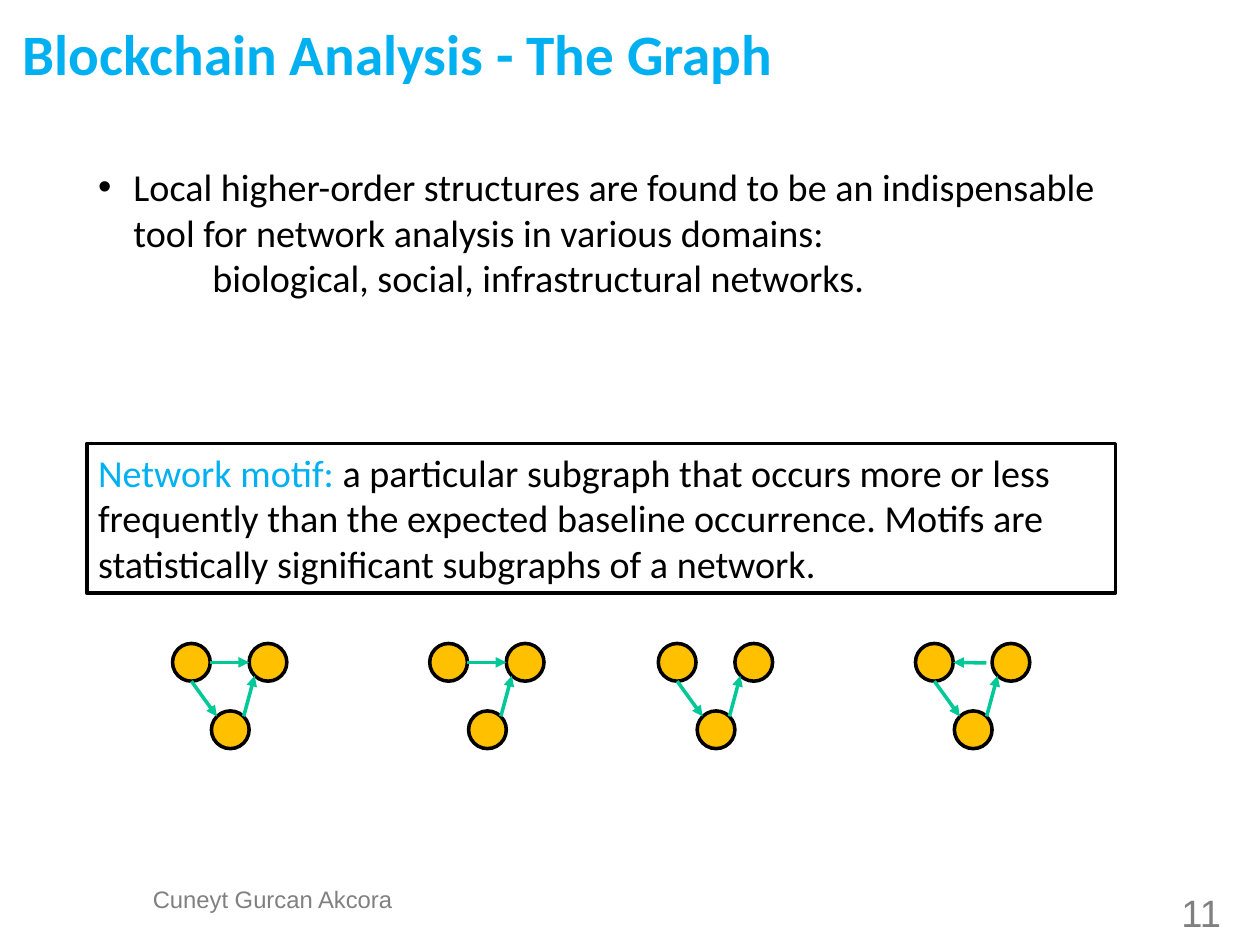
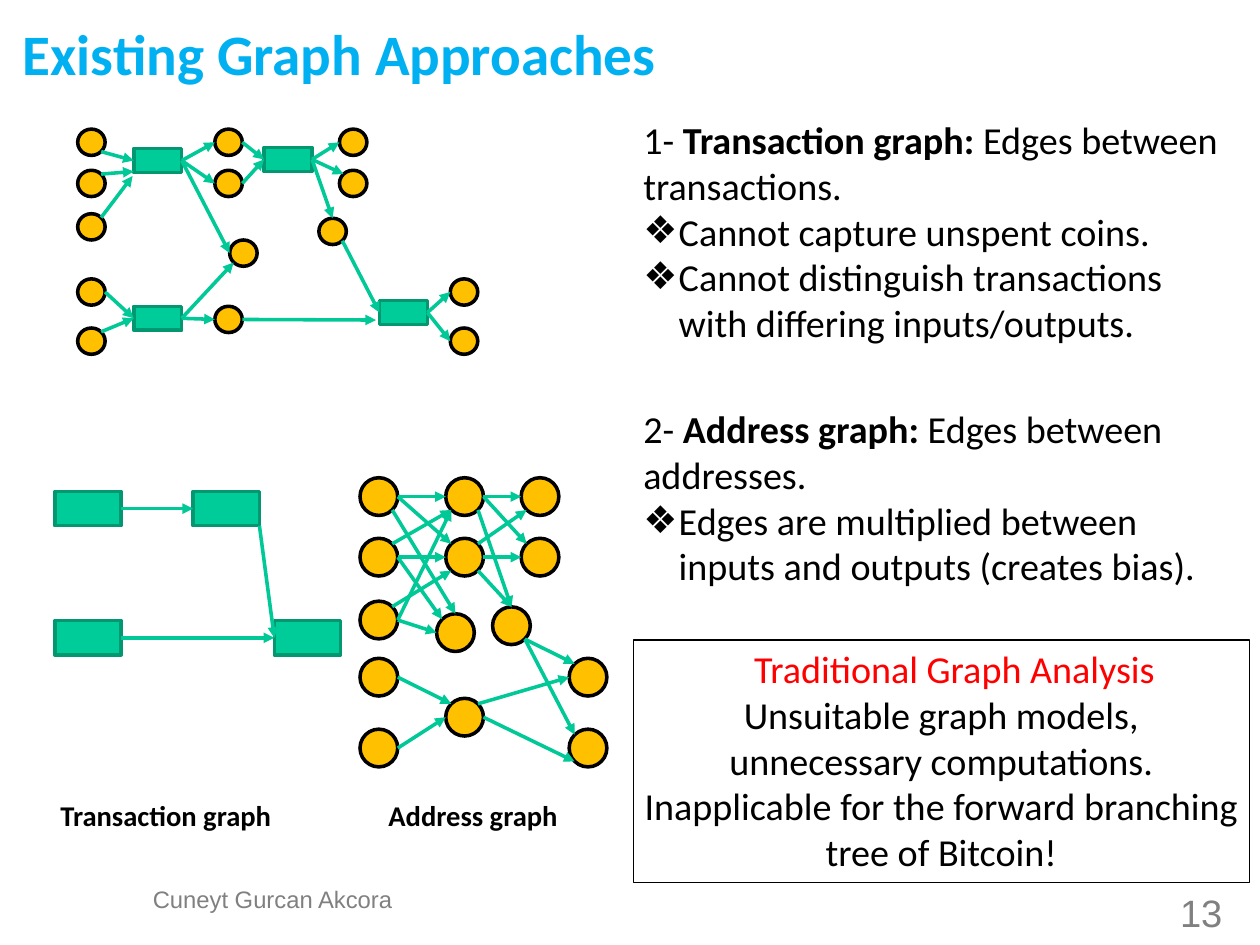
import dataclasses

import pptx
import pptx.dml.color
import pptx.enum.shapes
import pptx.enum.text
import pptx.oxml.ns
import pptx.util
from lxml import etree

Inches = pptx.util.Inches
Pt = pptx.util.Pt
SHAPE = pptx.enum.shapes.MSO_SHAPE
CENTER = pptx.enum.text.PP_ALIGN.CENTER
qn = pptx.oxml.ns.qn


@dataclasses.dataclass(frozen=True)
class Theme:
    accent: str = "00B0F0"
    ink: str = "000000"
    paper: str = "FFFFFF"
    muted: str = "808080"
    alert: str = "FF0000"
    coin: str = "FFC000"
    deal: str = "00CC99"
    deal_edge: str = "009771"
    arrow: str = "00C896"
    body_font: str = "Calibri"
    footer_font: str = "Arial"
    title_size: float = 36
    body_size: float = 24
    caption_size: float = 18
    footer_size: float = 15
    thick: float = 2.25
    thin: float = 0.75


THEME = Theme()
AUTHOR = "Cuneyt Gurcan Akcora"
HANGING = {"margin": 0.31, "indent": -0.31}
COMPASS = {"c": (0, 0), "n": (0, -1), "s": (0, 1), "e": (1, 0), "w": (-1, 0),
           "ne": (1, -1), "nw": (-1, -1), "se": (1, 1), "sw": (-1, 1)}
ROUND_DIAGONAL = 0.71


def rgb(value):
    return pptx.dml.color.RGBColor.from_string(value)


def set_line(line, color, width):
    line.color.rgb = rgb(color)
    line.width = Pt(width)


def line_of(*spans, bullet=None, margin=0, indent=0, **layout):
    """Describe a paragraph; each span is a text or a (text, format) pair."""
    return {"spans": spans, "bullet": bullet, "margin": margin,
            "indent": indent, "layout": layout}


def write(frame, paras, inset=None, **base):
    """Fill a text frame with paragraphs that share the base format."""
    frame.word_wrap = True
    frame.vertical_anchor = pptx.enum.text.MSO_ANCHOR.TOP
    if inset is not None:
        for side in ("left", "top", "right", "bottom"):
            setattr(frame, "margin_" + side, Inches(inset))
    font = {"name": THEME.body_font, "size": THEME.body_size,
            "color": THEME.ink, "bold": False} | base
    for number, item in enumerate(paras):
        para = frame.add_paragraph() if number else frame.paragraphs[0]
        for name, value in ({"alignment": None} | item["layout"]).items():
            setattr(para, name, value)
        props = para._p.get_or_add_pPr()
        props.set("marL", str(Inches(item["margin"])))
        props.set("indent", str(Inches(item["indent"])))
        if item["bullet"]:
            etree.SubElement(props, qn("a:buFont"), typeface="Arial")
            etree.SubElement(props, qn("a:buChar"), char=item["bullet"])
        for part in item["spans"]:
            text, change = part if isinstance(part, tuple) else (part, {})
            look = font | change
            span = para.add_run()
            span.text = text
            span.font.color.rgb = rgb(look.pop("color"))
            look["size"] = Pt(look["size"])
            for name, value in look.items():
                setattr(span.font, name, value)


def add_text(page, box, paras, **base):
    field = page.shapes.add_textbox(*map(Inches, box))
    write(field.text_frame, paras, **base)


def add_shape(shapes, kind, box, fill, edge, width):
    shape = shapes.add_shape(kind, *map(Inches, box))
    shape.shadow.inherit = False
    if fill:
        shape.fill.solid()
        shape.fill.fore_color.rgb = rgb(fill)
    else:
        shape.fill.background()
    set_line(shape.line, edge, width)
    return shape


def add_framed_text(page, box, paras, fill, width):
    frame = add_shape(page.shapes, SHAPE.RECTANGLE, box, fill, THEME.ink, width)
    write(frame.text_frame, paras)


def add_arrow(shapes, start, end):
    arrow = shapes.add_connector(pptx.enum.shapes.MSO_CONNECTOR.STRAIGHT,
                                 *map(Inches, start + end))
    set_line(arrow.line, THEME.arrow, THEME.thick)
    etree.SubElement(arrow.line._get_or_add_ln(), qn("a:tailEnd"), type="triangle")
    etree.SubElement(arrow._element.spPr, qn("a:effectLst"))


def draw_graph(page, origin, edges, coins=None, coin_size=(0, 0),
               deals=None, deal_size=(0, 0), stops=None):
    """Draw coins (circles), deals (rectangles) and arrows from an origin.

    Edges read "node:side node:side"; stops are bare points for arrow ends.
    """
    group = page.shapes.add_group_shape()
    places = {}
    for nodes, size, kind, fill, edge, diagonal in (
            (coins, coin_size, SHAPE.OVAL, THEME.coin, THEME.ink, ROUND_DIAGONAL),
            (deals, deal_size, SHAPE.RECTANGLE, THEME.deal, THEME.deal_edge, 1),
            (stops, (0, 0), None, None, None, 1)):
        for name, (x, y) in (nodes or {}).items():
            box = (origin[0] + x, origin[1] + y, *size)
            places[name] = (box, diagonal)
            if kind is not None:
                add_shape(group.shapes, kind, box, fill, edge, THEME.thick)

    def locate(end):
        name, side = end.split(":")
        (left, top, width, height), diagonal = places[name]
        across, down = COMPASS[side]
        reach = diagonal if across and down else 1
        return (left + width / 2 * (1 + across * reach),
                top + height / 2 * (1 + down * reach))

    for edge in edges:
        start, end = edge.split()
        add_arrow(group.shapes, locate(start), locate(end))


def column(letter, x, heights):
    return {f"{letter}{row}": (x, y) for row, y in enumerate(heights, 1)}


def add_page(deck, title, number):
    """Add a blank page with the shared title, author and page number."""
    page = deck.slides.add_slide(deck.slide_layouts[6])
    footer = {"name": THEME.footer_font, "color": THEME.muted, "inset": 0}
    tight = {"alignment": CENTER, "line_spacing": 0.93}
    add_text(page, (1.3, 7.76, 2.17, 0.37), [line_of(AUTHOR, **tight)],
             size=THEME.footer_size, **footer)
    add_text(page, (10.01, 7.82, 1, 0.4), [line_of(str(number), **tight)],
             size=THEME.body_size, **footer)
    add_text(page, (0.2, 0.15, 9.92, 0.55),
             [line_of(title, margin=0.38, indent=-0.38, line_spacing=1.02)],
             inset=0, size=THEME.title_size, color=THEME.accent, bold=True)
    return page


def draw_motifs(page, top):
    across, back = "A:e B:w", "S:c A:e"
    down, up = "A:s C:nw", "C:ne B:sw"
    motifs = {1.51: (up, across, down), 3.76: (up, across),
              5.76: (up, down), 8.01: (up, down, back)}
    for left, edges in motifs.items():
        draw_graph(page, (left, top), edges, coin_size=(0.33, 0.33),
                   coins={"A": (0, 0), "B": (0.67, 0), "C": (0.34, 0.59)},
                   stops={"S": (0.62, 0.17)})


def draw_coin_graph(page, origin):
    rows = (0, 0.36, 0.74, 1.31, 1.74)
    draw_graph(
        page, origin,
        coins=column("A", 0, rows) | column("B", 1.2, (*rows[:2], 1.55))
        | column("C", 2.29, rows[:2]) | column("E", 3.26, rows[3:])
        | {"D": (2.11, 0.78), "F": (1.33, 0.97)},
        coin_size=(0.24, 0.23),
        deals={"T1": (0.49, 0.17), "T2": (0.49, 1.55),
               "T3": (1.63, 0.16), "T4": (2.64, 1.5)},
        deal_size=(0.42, 0.21),
        stops={"S1": (0.49, 0.37), "S2": (0.48, 0.41), "S3": (2.61, 1.67)},
        edges=("A1:se T1:w", "A2:ne S1:c", "A3:ne S2:c", "A4:e T2:w",
               "A5:ne T2:w", "T1:e B1:w", "T1:e B2:w", "T1:e F:w",
               "T2:e B3:w", "T2:e F:sw", "B1:e T3:w", "B2:e T3:w",
               "B3:e S3:c", "T3:e C1:w", "T3:e C2:nw", "T3:e D:n",
               "D:se T4:w", "T4:e E1:w", "T4:e E2:w"))


def draw_transaction_graph(page, origin):
    draw_graph(
        page, origin,
        deals={"T1": (0, 0), "T2": (1.21, 0), "T3": (0, 1.13), "T4": (1.92, 1.13)},
        deal_size=(0.58, 0.3),
        edges=("T1:e T2:w", "T3:e T4:w", "T2:se T4:w"))


def draw_address_graph(page, origin):
    rows = (0, 0.53, 1.08, 1.58, 2.2)
    draw_graph(
        page, origin,
        coins=column("A", 0, rows) | column("B", 0.75, (*rows[:2], 1.93))
        | column("C", 1.41, rows[:2]) | column("E", 1.83, rows[3:])
        | {"D": (1.16, 1.13), "F": (0.67, 1.19)},
        coin_size=(0.33, 0.33),
        edges=("A1:e B1:w", "A1:e B2:nw", "A1:se F:n", "A2:ne B1:sw",
               "A2:e B2:w", "A2:e F:nw", "A3:e B1:sw", "A3:ne B2:sw",
               "A3:e F:w", "A4:e B3:nw", "A5:e B3:w", "B1:e C1:w",
               "B1:e C2:nw", "B1:se D:n", "B2:ne C1:sw", "B2:e C2:w",
               "B2:se D:n", "B3:ne E1:w", "B3:e E2:sw", "D:se E1:nw",
               "D:se E2:nw"))


def build_motif_page(deck):
    page = add_page(deck, "Blockchain Analysis - The Graph", 11)
    add_text(page, (0.76, 1.38, 9, 1.31), [
        line_of("Local higher-order structures are found to be an indispensable "
                "tool for network analysis in various domains:",
                bullet="•", **HANGING),
        line_of("biological, social, infrastructural networks.", margin=1)])
    draw_motifs(page, 5.63)
    add_framed_text(page, (0.76, 3.88, 9, 1.31), [
        line_of(("Network motif:", {"color": THEME.accent}),
                " a particular subgraph that occurs more or less frequently "
                "than the expected baseline occurrence. Motifs are "
                "statistically significant subgraphs of a network.")],
        fill=None, width=THEME.thick)


def build_approaches_page(deck):
    page = add_page(deck, "Existing Graph Approaches", 13)
    approaches = (
        (0.97, 2.12, "1- ", "Transaction graph:", " Edges between transactions.",
         ("Cannot capture unspent coins.",
          "Cannot distinguish transactions with differing inputs/outputs.")),
        (3.5, 1.72, "2- ", "Address graph:", " Edges between addresses.",
         ("Edges are multiplied between inputs and outputs (creates bias).",)))
    for top, height, number, name, meaning, limits in approaches:
        add_text(page, (5.53, top, 5.4, height),
                 [line_of(number, (name, {"bold": True}), meaning)]
                 + [line_of(limit, bullet="❖", **HANGING) for limit in limits])
    for left, width, caption in ((0.43, 2.22, "Transaction graph"),
                                 (3.3, 1.79, "Address graph")):
        add_text(page, (left, 6.93, width, 0.4), [line_of(caption)],
                 size=THEME.caption_size, bold=True)
    draw_coin_graph(page, (0.68, 1.13))
    draw_transaction_graph(page, (0.48, 4.3))
    draw_address_graph(page, (3.15, 4.18))
    add_framed_text(page, (5.54, 5.6, 5.39, 2.12), [
        line_of(("Traditional Graph Analysis", {"color": THEME.alert}),
                margin=0.23, alignment=CENTER),
        line_of("Unsuitable graph models, unnecessary computations.",
                alignment=CENTER),
        line_of("Inapplicable for the forward branching tree of Bitcoin!",
                alignment=CENTER)],
        fill=THEME.paper, width=THEME.thin)


def main():
    deck = pptx.Presentation()
    deck.slide_width, deck.slide_height = map(pptx.util.Cm, (28, 21))
    build_motif_page(deck)
    build_approaches_page(deck)
    deck.save("out.pptx")


if __name__ == "__main__":
    main()
